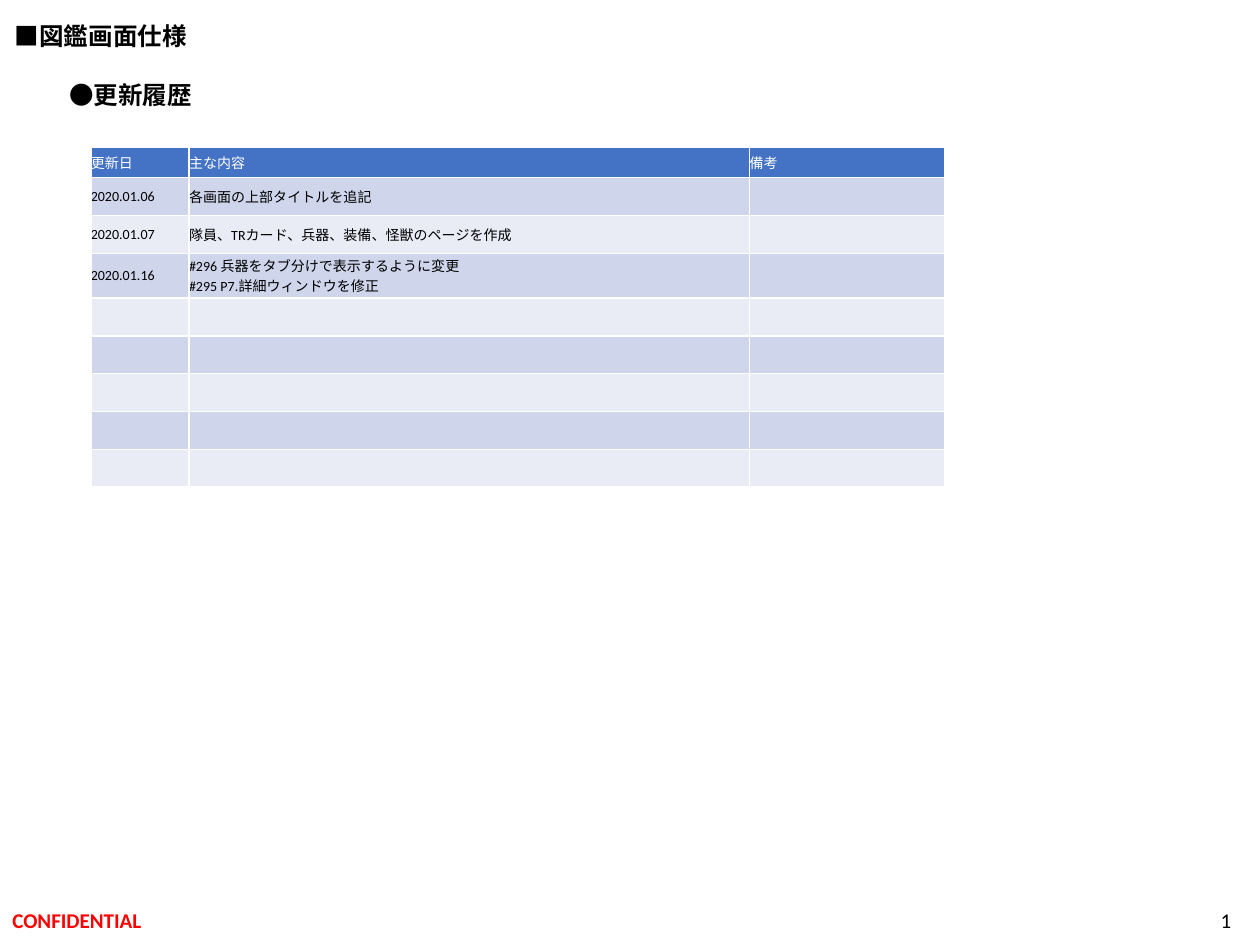
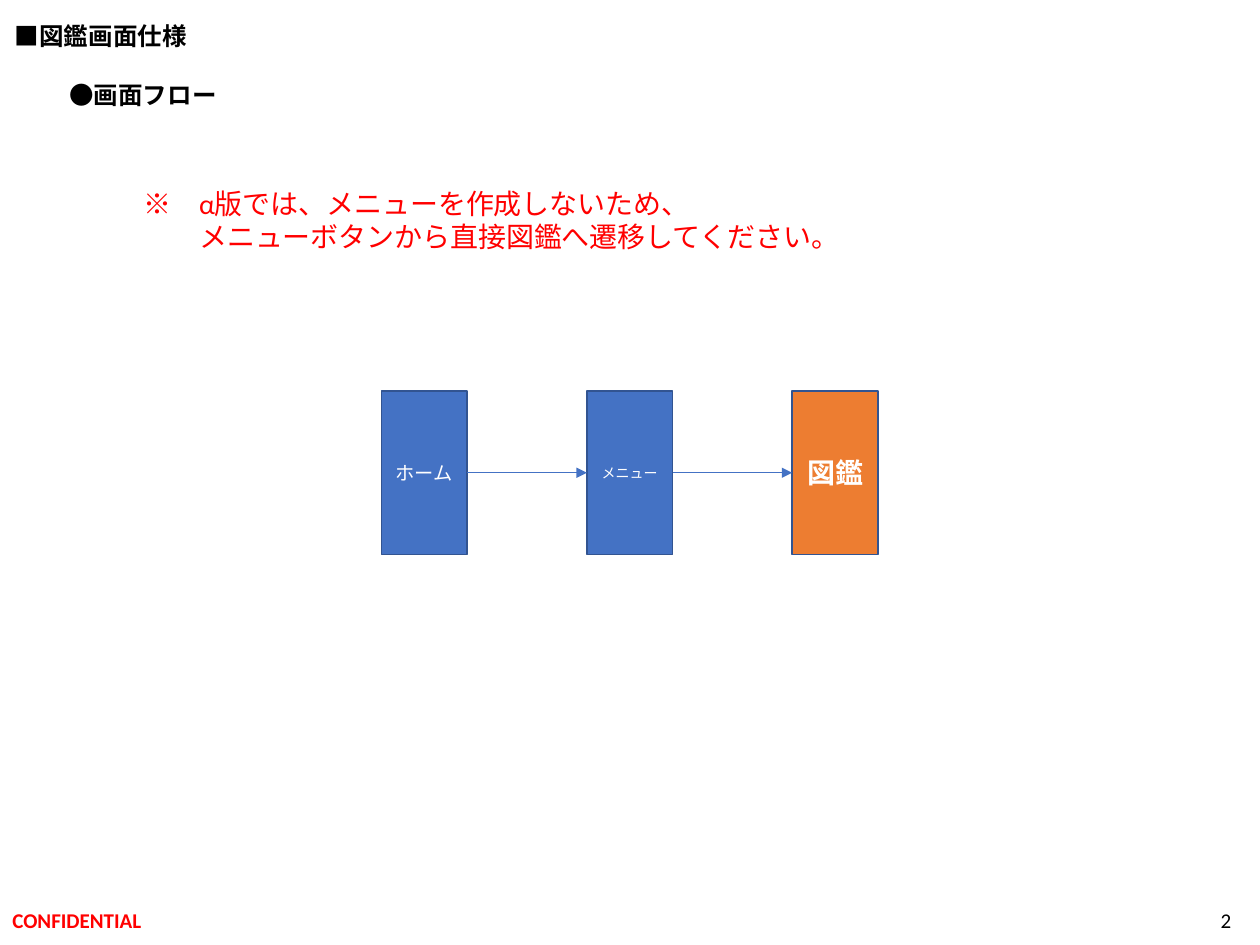
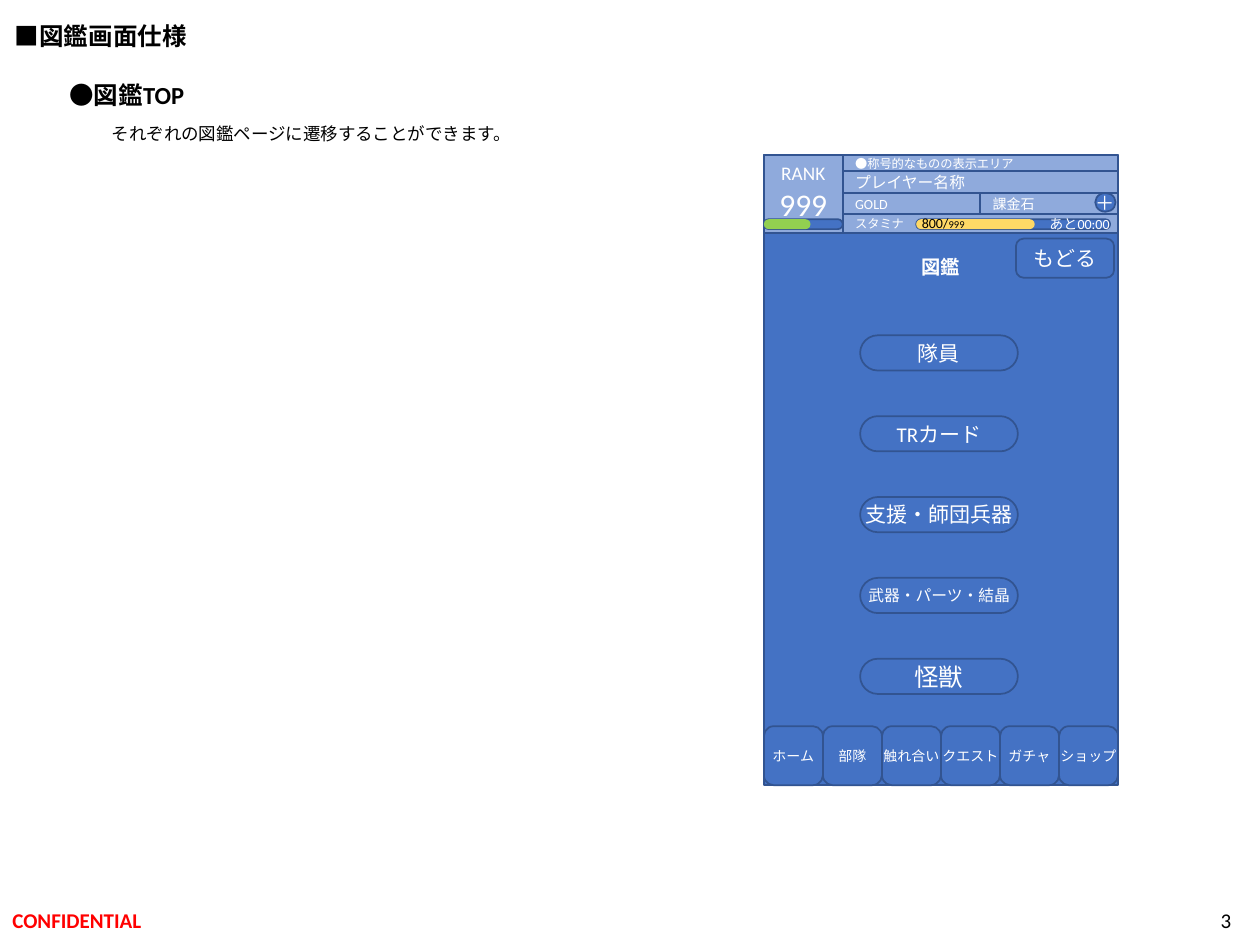
import lxml.etree
import pptx
import pptx.dml.color
import pptx.enum.shapes
import pptx.enum.text
import pptx.oxml
import pptx.oxml.ns
import pptx.util

Cm = pptx.util.Cm
Pt = pptx.util.Pt
SHAPE = pptx.enum.shapes.MSO_SHAPE
ANCHOR = pptx.enum.text.MSO_ANCHOR
ALIGN = pptx.enum.text.PP_ALIGN
qn = pptx.oxml.ns.qn

BLUE, EDGE, PALE = "4472C4", "325491", "8FAADC"
ORANGE, GREEN, YELLOW = "ED7D31", "92D050", "FFD966"
BLACK, WHITE, RED = "000000", "FFFFFF", "FF0000"
BANDS = ("CFD5EA", "E9EBF5")
FONT = "Calibri"


def rgb(value):
    """Turn a hex string into a colour."""
    return pptx.dml.color.RGBColor.from_string(value)


def apply(target, values):
    """Set every attribute in a dict of format values."""
    for name, value in values.items():
        setattr(target, name, value)


def write(tf, lines, color, align=ALIGN.LEFT, font=FONT, bold=False):
    """Fill a text frame with lines, each a list of (text, size) runs."""
    for i, runs in enumerate(lines):
        p = tf.add_paragraph() if i else tf.paragraphs[0]
        p.alignment = align
        for text, size in runs:
            r = p.add_run()
            r.text = text
            apply(r.font, {"name": font, "size": Pt(size), "bold": bold})
            r.font.color.rgb = rgb(color)


def textbox(s, box, lines, color=BLACK, anchor=ANCHOR.TOP, wrap=False, grow=False, **style):
    """Add a text box whose box is given in centimetres."""
    tf = s.shapes.add_textbox(*map(Cm, box)).text_frame
    auto = pptx.enum.text.MSO_AUTO_SIZE
    apply(tf, {"word_wrap": wrap, "vertical_anchor": anchor,
               "auto_size": auto.SHAPE_TO_FIT_TEXT if grow else auto.NONE})
    write(tf, lines, color, **style)
    return tf


def block(s, kind, box, lines=(), fill=BLUE, edge=EDGE, adj=None,
          anchor=ANCHOR.MIDDLE, wrap=True, align=ALIGN.CENTER, **style):
    """Add a filled shape with optional white text."""
    sp = s.shapes.add_shape(kind, *map(Cm, box))
    sp.shadow.inherit = False
    sp.fill.solid()
    sp.fill.fore_color.rgb = rgb(fill)
    if edge:
        sp.line.color.rgb = rgb(edge)
        sp.line.width = Pt(1)
    else:
        sp.line.fill.background()
    if adj is not None:
        sp.adjustments[0] = adj
    apply(sp.text_frame, {"word_wrap": wrap, "vertical_anchor": anchor})
    write(sp.text_frame, lines, WHITE, align, **style)
    return sp


def indent(p, length):
    """Indent a whole paragraph from the left."""
    pPr = p._p.get_or_add_pPr()
    pPr.set("marL", str(length))
    pPr.set("indent", "0")


def arrow(s, start, end):
    """Join two rectangles with an arrow from right side to left side."""
    c = s.shapes.add_connector(pptx.enum.shapes.MSO_CONNECTOR.STRAIGHT, 0, 0, 0, 0)
    c.begin_connect(start, 3)
    c.end_connect(end, 1)
    c.line.color.rgb = rgb(BLUE)
    c.line.width = Pt(0.5)
    lxml.etree.SubElement(c.line._get_or_add_ln(), qn("a:tailEnd"), type="triangle")
    lxml.etree.SubElement(c._element.spPr, qn("a:effectLst"))


def page(prs, heading, width):
    """Add a slide with the shared title, heading and footer."""
    s = prs.slides.add_slide(prs.slide_layouts[6])
    textbox(s, (0.05, 0.3, 4.01, 0.86), [[("■図鑑画面仕様", 14)]], grow=True, font="Arial", bold=True)
    textbox(s, (1.15, 1.49, width, 0.86), [[(heading, 14)]], grow=True, bold=True)
    footer = {"anchor": ANCHOR.MIDDLE, "wrap": True}
    textbox(s, (0, 18.03, 8.59, 1.02), [[("CONFIDENTIAL", 12)]], RED, bold=True, **footer)
    textbox(s, (19.35, 18.03, 5.72, 1.02), [[(str(len(prs.slides)), 12)]], align=ALIGN.RIGHT, **footer)
    return s


def style_cell(cell, fill):
    """Give a cell white borders, no margins and a fill."""
    tcPr = cell._tc.get_or_add_tcPr()
    for side in "LRTB":
        ln = lxml.etree.SubElement(tcPr, qn(f"a:ln{side}"), w=str(Pt(1)))
        solid = lxml.etree.SubElement(ln, qn("a:solidFill"))
        lxml.etree.SubElement(solid, qn("a:srgbClr"), val=WHITE)
    cell.fill.solid()
    cell.fill.fore_color.rgb = rgb(fill)
    margins = {f"margin_{side}": 0 for side in ("left", "right", "top", "bottom")}
    apply(cell, {"vertical_anchor": ANCHOR.MIDDLE, **margins})


def history_table(s, left, top):
    """Add the table of updates, padded with empty rows."""
    rows = [
        ("更新日", "主な内容", "備考"),
        ("2020.01.06", "各画面の上部タイトルを追記", ""),
        ("2020.01.07", "隊員、TRカード、兵器、装備、怪獣のページを作成", ""),
        ("2020.01.16", "#296 兵器をタブ分けで表示するように変更\n#295 P7.詳細ウィンドウを修正", ""),
    ] + [("", "", "")] * 5
    widths = (1.98, 11.3, 3.94)
    heights = [0.61] + [0.9 if "\n" in content else 0.76 for _, content, _ in rows[1:]]
    table = s.shapes.add_table(len(rows), len(widths), *map(Cm, (left, top, sum(widths), sum(heights)))).table
    apply(table, {"first_row": False, "horz_banding": False})
    for column, width in zip(table.columns, widths):
        column.width = Cm(width)
    for i, (values, height) in enumerate(zip(rows, heights)):
        table.rows[i].height = Cm(height)
        for j, value in enumerate(values):
            cell = table.cell(i, j)
            style_cell(cell, BANDS[(i - 1) % 2] if i else BLUE)
            if value:
                lines = [[(line, 8)] for line in value.split("\n")]
                write(cell.text_frame, lines, BLACK if i else WHITE)


def flow(s, left, top):
    """Add the row of screens joined by arrows."""
    steps = [("ホーム", 11, BLUE, False), ("メニュー", 8, BLUE, False), ("図鑑", 16, ORANGE, True)]
    screens = [
        block(s, SHAPE.RECTANGLE, (left + 4.14 * i, top, 1.73, 3.3), [[(name, size)]], fill, bold=bold)
        for i, (name, size, fill, bold) in enumerate(steps)
    ]
    for start, end in zip(screens, screens[1:]):
        arrow(s, start, end)


def status_bar(s, left, top):
    """Add the player status area at the top of the phone screen."""
    def at(x, y, w, h):
        return left + x, top + y, w, h

    block(s, SHAPE.RECTANGLE, at(0, 0, 1.59, 1.57), [[("RANK", 11)], [("999", 18)]], PALE, anchor=ANCHOR.TOP)
    for box, text, size in (
        ((1.59, 0, 5.55, 0.32), "●称号的なものの表示エリア", 7),
        ((1.59, 0.32, 5.55, 0.44), "プレイヤー名称", 9),
        ((1.59, 0.76, 2.77, 0.43), "GOLD", 8),
        ((4.36, 0.76, 2.78, 0.43), "課金石", 8),
        ((1.59, 1.19, 5.55, 0.38), "スタミナ", 7),
    ):
        block(s, SHAPE.RECTANGLE, at(*box), [[(text, size)]], PALE, align=ALIGN.LEFT)
    block(s, SHAPE.OVAL, at(6.68, 0.76, 0.41, 0.38), [[("＋", 11)]], wrap=False)
    for x, full, part, color in ((0, 1.59, 0.94, GREEN), (3.07, 3.91, 2.39, YELLOW)):
        block(s, SHAPE.ROUNDED_RECTANGLE, at(x, 1.29, full, 0.2), adj=0.5)
        block(s, SHAPE.ROUNDED_RECTANGLE, at(x, 1.29, part, 0.2), fill=color, edge=None, adj=0.5)
    label = {"anchor": ANCHOR.MIDDLE, "align": ALIGN.CENTER}
    textbox(s, at(3.02, 1.18, 1.19, 0.38), [[("800/", 8), ("999", 6)]], **label)
    textbox(s, at(5.77, 1.19, 1.19, 0.38), [[("あと00:00", 8)]], WHITE, **label)


def phone(s, left, top, width, height):
    """Add the phone screen with its status, menu and navigation."""
    screen = block(s, SHAPE.RECTANGLE, (left, top, width, height), [[("図鑑", 11)]],
                   anchor=ANCHOR.TOP, font="Noto Sans CJK JP", bold=True)
    screen.text_frame.margin_top = Cm(2.01)
    tabs = ("ホーム", "部隊", "触れ合い", "クエスト", "ガチャ", "ショップ")
    side = width / len(tabs)
    for i, name in enumerate(tabs):
        block(s, SHAPE.ROUNDED_RECTANGLE, (left + side * i, top + height - side, side, side),
              [[(name, 8)]], wrap=False)
    status_bar(s, left, top)
    block(s, SHAPE.ROUNDED_RECTANGLE, (left + 5.08, top + 1.68, 1.98, 0.79),
          [[("もどる", 12)]], adj=0.2, wrap=False)
    menu = (("隊員", 12), ("TRカード", 12), ("支援・師団兵器", 12), ("武器・パーツ・結晶", 9), ("怪獣", 14))
    for i, item in enumerate(menu):
        block(s, SHAPE.ROUNDED_RECTANGLE, (left + 1.94, top + 3.63 + 1.63 * i, 3.18, 0.71),
              [[item]], adj=0.5, wrap=False)


def main():
    """Build the three slides and save them."""
    prs = pptx.Presentation()
    apply(prs, {"slide_width": Cm(25.4), "slide_height": Cm(19.05)})

    s = page(prs, "●更新履歴", 3)
    history_table(s, 1.83, 2.97)

    s = page(prs, "●画面フロー", 3.51)
    flow(s, 7.69, 7.88)
    note = [[("※　α版では、メニューを作成しないため、", 16)],
            [("メニューボタンから直接図鑑へ遷移してください。", 16)]]
    tf = textbox(s, (2.64, 3.63, 14.76, 1.63), note, RED, grow=True)
    indent(tf.paragraphs[1], Pt(32))

    s = page(prs, "●図鑑TOP", 2.84)
    phone(s, 15.4, 3.13, 7.14, 12.7)
    tf = textbox(s, (1.65, 2.36, 9.07, 0.69), [[("それぞれの図鑑ページに遷移することができます。", 10)]], grow=True)
    indent(tf.paragraphs[0], Pt(10))

    prs.save("out.pptx")


if __name__ == "__main__":
    main()
